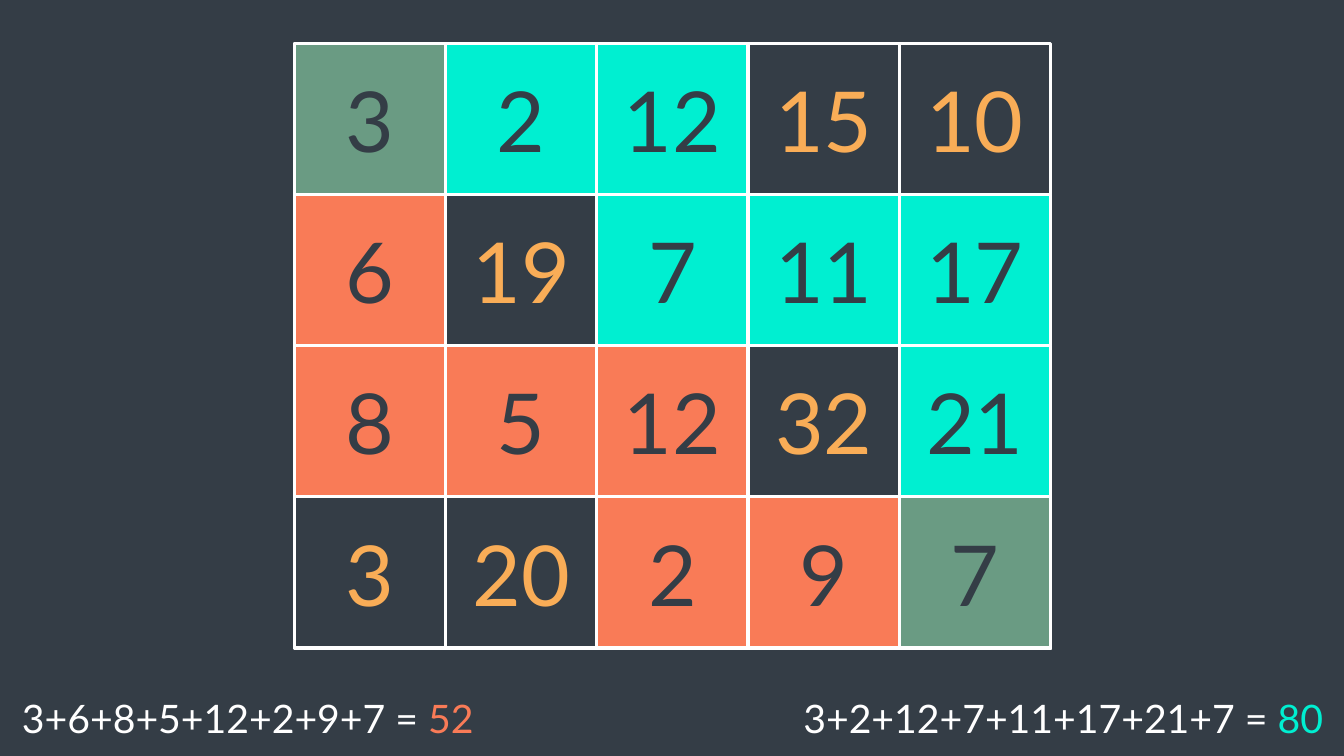
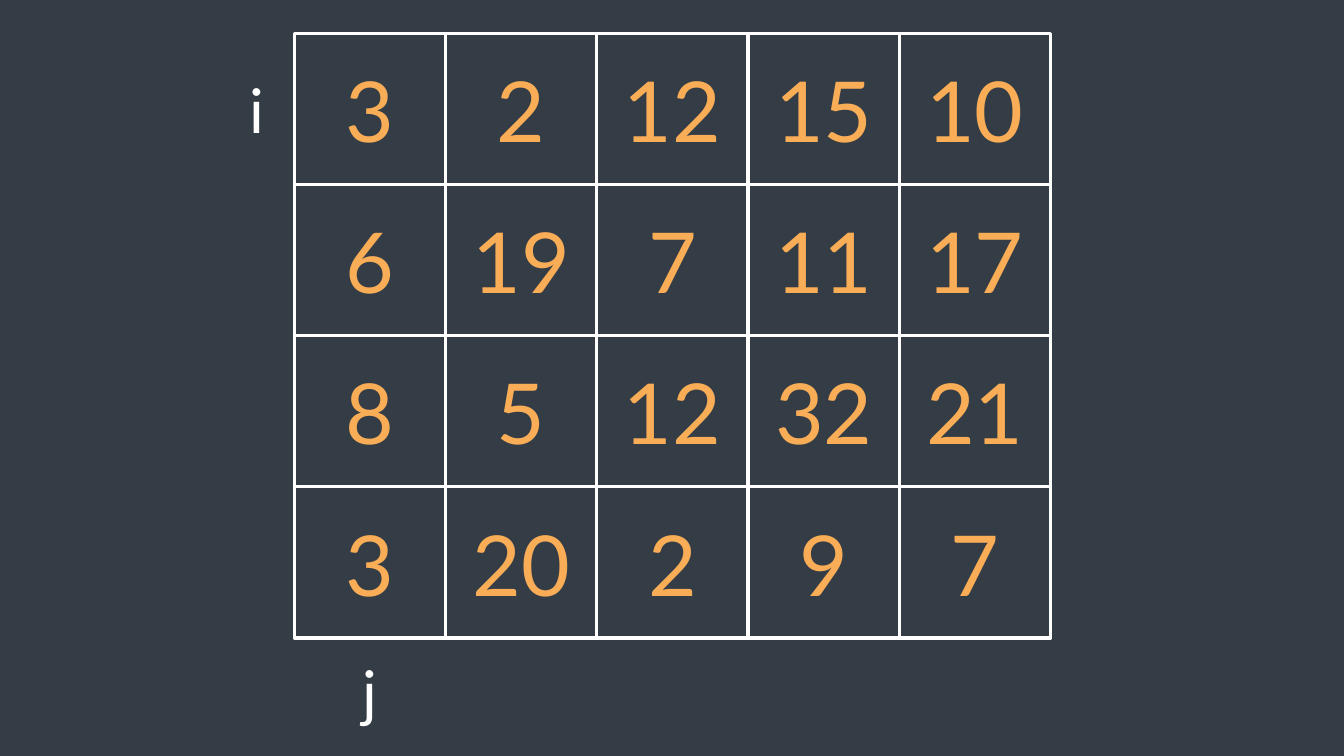
"""Build two slides showing a number grid and two paths through it."""
import dataclasses
import typing

import pptx
import pptx.dml.color
import pptx.enum.shapes
import pptx.enum.text
import pptx.oxml
import pptx.oxml.ns
import pptx.util

Inches = pptx.util.Inches
Pt = pptx.util.Pt
RGB = pptx.dml.color.RGBColor
ALIGN = pptx.enum.text.PP_ALIGN
ANCHOR = pptx.enum.text.MSO_ANCHOR
Cell = tuple[int, int]


@dataclasses.dataclass(frozen=True)
class Theme:
    font: str = "Lato"
    dark: RGB = RGB.from_string("343D46")
    white: RGB = RGB.from_string("FFFFFF")
    amber: RGB = RGB.from_string("F9AD57")
    coral: RGB = RGB.from_string("F97B57")
    teal: RGB = RGB.from_string("00EFD1")
    number: int = 60
    index: int = 44
    total: int = 28
    line: float = 2.25


@dataclasses.dataclass(frozen=True)
class Route:
    cells: tuple[Cell, ...]
    color: RGB
    alpha: int
    left: float
    width: float
    align: ALIGN


@dataclasses.dataclass(frozen=True)
class Label:
    text: str
    left: float
    top: float


THEME = Theme()
GRID = ((3, 2, 12, 15, 10), (6, 19, 7, 11, 17), (8, 5, 12, 32, 21), (3, 20, 2, 9, 7))
SIDE = 1.5
GRID_LEFT = 2.92
ROUTES = (
    Route(((0, 0), (1, 0), (2, 0), (2, 1), (2, 2), (3, 2), (3, 3), (3, 4)),
          THEME.coral, 64, 0.12, 4.87, ALIGN.LEFT),
    Route(((0, 0), (0, 1), (0, 2), (1, 2), (1, 3), (1, 4), (2, 4), (3, 4)),
          THEME.teal, 40, 6.89, 6.33, ALIGN.RIGHT),
)
LABELS = (Label("i", 2.31, 0.66), Label("j", 3.43, 6.44))


def write(tf, runs: typing.Sequence[tuple[str, RGB]], size: int, align: ALIGN, **frame) -> None:
    """Fill a text frame with one paragraph of coloured runs."""
    for name, value in {"word_wrap": True, **frame}.items():
        setattr(tf, name, value)
    p = tf.paragraphs[0]
    p.alignment = align
    for text, color in runs:
        r = p.add_run()
        r.text = text
        for name, value in {"name": THEME.font, "size": Pt(size)}.items():
            setattr(r.font, name, value)
        r.font.color.rgb = color


def add_square(s, cell: Cell, top: float, fill: RGB | None, alpha: int = 100):
    """Draw one outlined grid square, optionally filled and see-through."""
    row, col = cell
    sp = s.shapes.add_shape(
        pptx.enum.shapes.MSO_SHAPE.RECTANGLE,
        Inches(GRID_LEFT + col * SIDE), Inches(top + row * SIDE), Inches(SIDE), Inches(SIDE))
    sp.shadow.inherit = False
    sp.line.color.rgb = THEME.white
    sp.line.width = Pt(THEME.line)
    if fill is None:
        sp.fill.background()
        return sp
    sp.fill.solid()
    sp.fill.fore_color.rgb = fill
    if alpha < 100:
        clr = sp._element.spPr.find(pptx.oxml.ns.qn("a:solidFill"))[0]
        clr.append(pptx.oxml.parse_xml(
            f'<a:alpha {pptx.oxml.ns.nsdecls("a")} val="{alpha * 1000}"/>'))
    return sp


def add_grid(s, top: float, routes: typing.Sequence[Route] = ()) -> None:
    """Draw the numbers, colouring route cells and blending shared ones."""
    users = {(i, j): [route for route in routes if (i, j) in route.cells]
             for i, row in enumerate(GRID) for j in range(len(row))}
    for cell, used in users.items():
        if len(used) > 1:
            for route in used:
                add_square(s, cell, top, route.color, route.alpha)
    for cell, used in users.items():
        fill = None if len(used) > 1 else used[0].color if used else THEME.dark
        sp = add_square(s, cell, top, fill)
        color = THEME.dark if used else THEME.amber
        write(sp.text_frame, [(str(GRID[cell[0]][cell[1]]), color)], THEME.number,
              ALIGN.CENTER, vertical_anchor=ANCHOR.MIDDLE)


def add_text(s, left: float, top: float, width: float, height: float,
             runs: typing.Sequence[tuple[str, RGB]], size: int, align: ALIGN) -> None:
    """Place a text box."""
    box = s.shapes.add_textbox(Inches(left), Inches(top), Inches(width), Inches(height))
    write(box.text_frame, runs, size, align,
          auto_size=pptx.enum.text.MSO_AUTO_SIZE.SHAPE_TO_FIT_TEXT)


def add_total(s, route: Route) -> None:
    """Write the sum along a route, with its result in the route colour."""
    values = [GRID[i][j] for i, j in route.cells]
    runs = [("+".join(map(str, values)) + " = ", THEME.white), (str(sum(values)), route.color)]
    add_text(s, route.left, 6.84, route.width, 0.57, runs, THEME.total, route.align)


def main() -> None:
    """Build and save the presentation."""
    prs = pptx.Presentation()
    prs.slide_width, prs.slide_height = Inches(13.33), Inches(7.5)
    bg = prs.slide_master.background.fill
    bg.solid()
    bg.fore_color.rgb = THEME.dark
    blank = prs.slide_layouts[6]

    s = prs.slides.add_slide(blank)
    add_grid(s, 0.43, ROUTES)
    for route in ROUTES:
        add_total(s, route)

    s = prs.slides.add_slide(blank)
    add_grid(s, 0.33)
    for label in LABELS:
        add_text(s, label.left, label.top, 0.48, 0.84, [(label.text, THEME.white)],
                 THEME.index, ALIGN.CENTER)

    prs.save("out.pptx")


if __name__ == "__main__":
    main()
